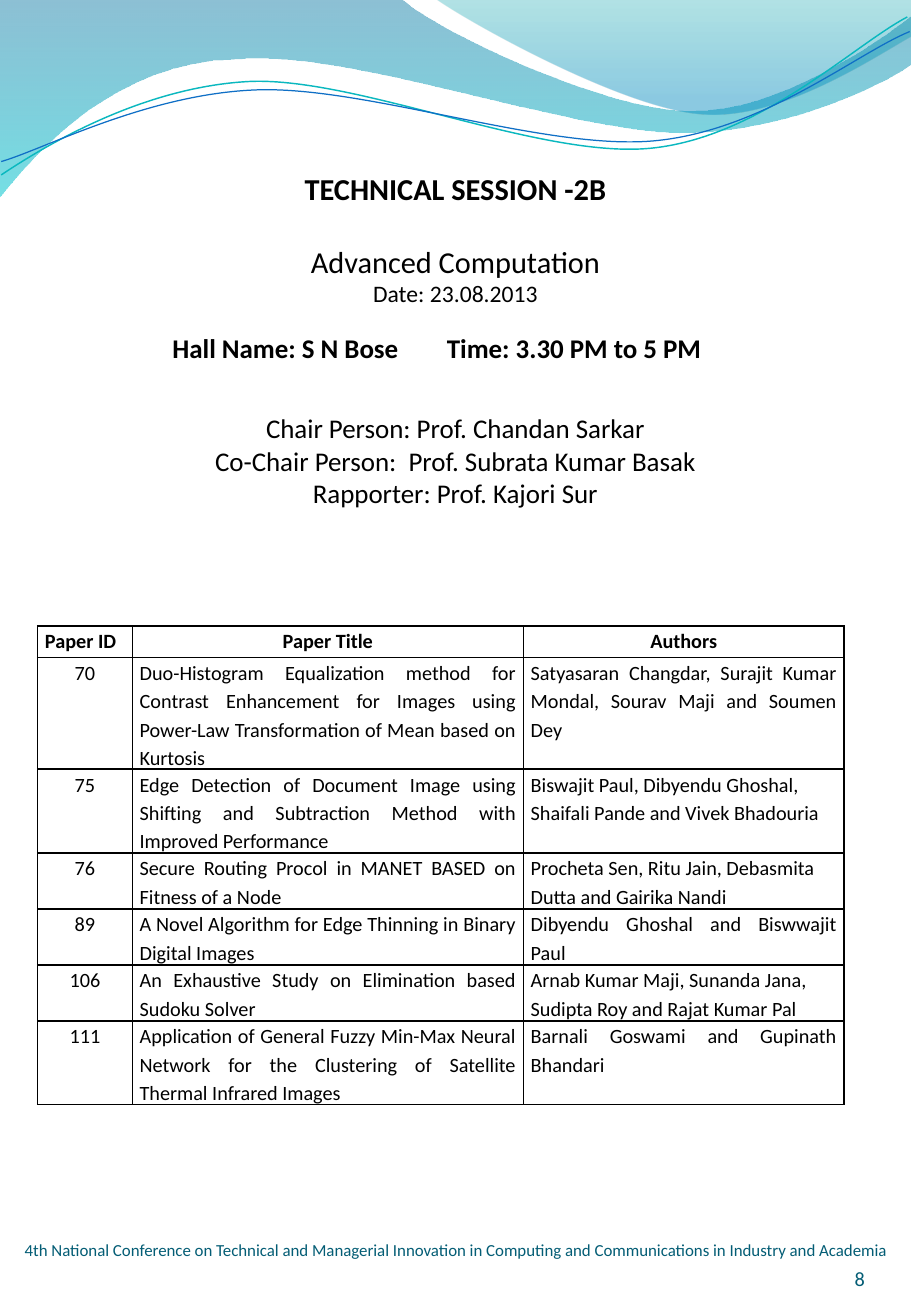
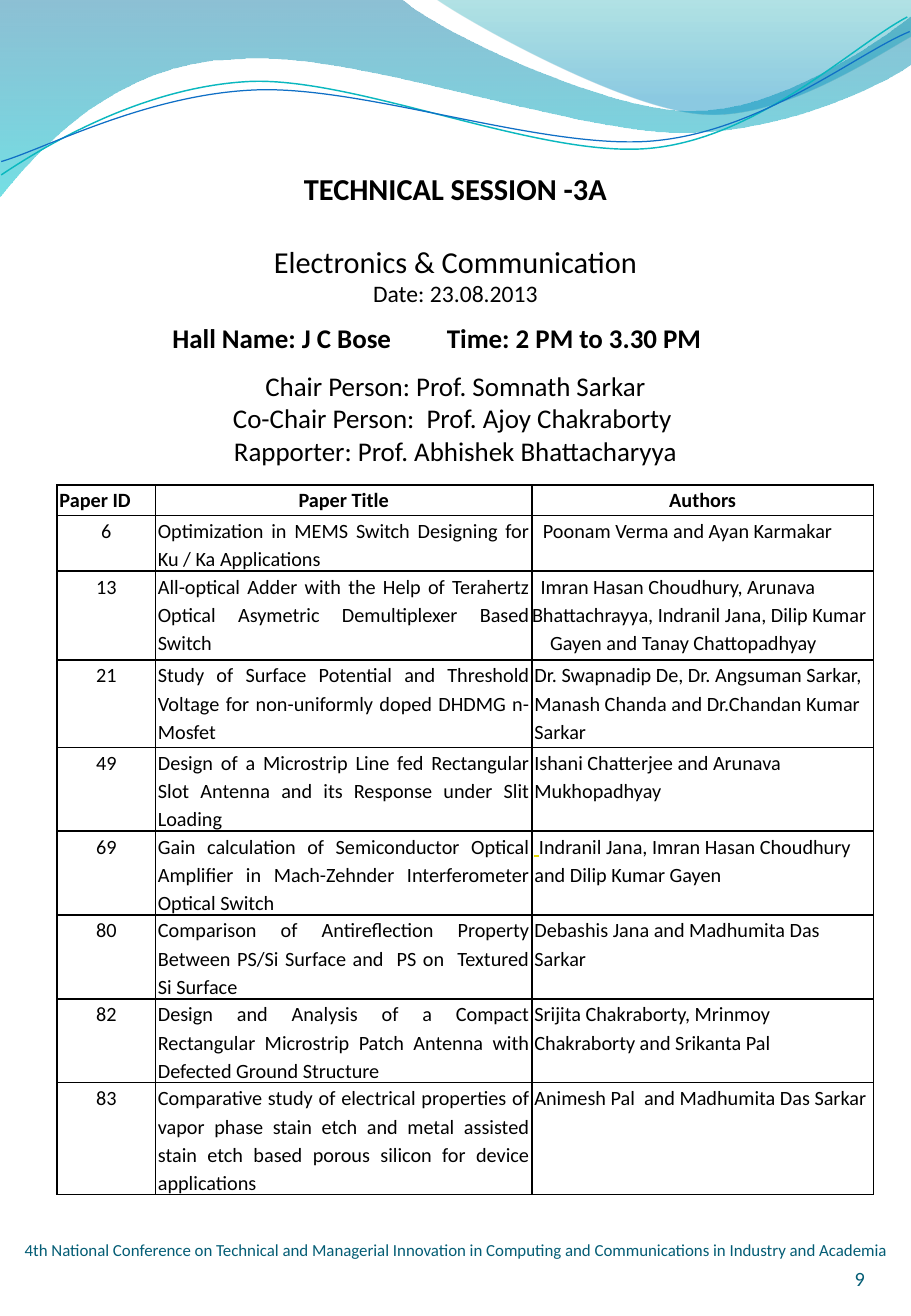
from lxml import etree
from pptx import Presentation
from pptx.dml.color import RGBColor
from pptx.enum.text import MSO_ANCHOR, MSO_AUTO_SIZE, PP_ALIGN
from pptx.oxml.ns import qn
from pptx.util import Inches, Pt

TOP, BOTTOM = MSO_ANCHOR.TOP, MSO_ANCHOR.BOTTOM
NO_FIT = MSO_AUTO_SIZE.NONE
LEFT, CENTER, RIGHT, JUSTIFY = PP_ALIGN.LEFT, PP_ALIGN.CENTER, PP_ALIGN.RIGHT, PP_ALIGN.JUSTIFY

FONT = "Calibri"
WIDTH, HEIGHT = 7.5, 10.83
COLORS = {
    "text": "000000", "footer": "045D75", "mark": "E2D700",
    "wave_top": "0074A1", "wave_end": "00C6CF",
    "crest_top": "00A1A9", "crest_end": "008BBF",
    "teal_line": "0AB8BF", "blue_line": "0F6FC6",
}
FOOTER = ("4th National Conference on Technical and Managerial Innovation in "
          "Computing and Communications in Industry and Academia")
HEADER = ("Paper ID", "Paper Title", "Authors")

# Outlines: two numbers are a straight segment, six a cubic curve
WAVE = [(0, -0.01), (3.3, -0.01), (3.57, 0.24, 4.98, 0.91, 5.69, 0.91),
        (6.4, 0.91, 7.19, 0.37, 7.5, 0.13), (7.51, 0.52),
        (7.38, 0.63, 6.52, 1.09, 5.59, 1.09), (4.66, 1.08, 2.86, 0.4, 1.93, 0.49),
        (0.97, 0.51, 0.34, 1.2, -0.01, 1.63)]
CREST = [(3.59, -0.01), (3.82, 0.16, 5.11, 0.89, 5.77, 0.94),
         (6.42, 1, 7.21, 0.46, 7.5, 0.3), (7.5, 0)]
TEAL_LINE = [(0.01, 1.44), (0.37, 1.2, 1.18, 0.71, 2.07, 0.67),
             (2.96, 0.64, 4.46, 1.31, 5.36, 1.22), (6.26, 1.13, 7.03, 0.37, 7.47, 0.14)]
BLUE_LINE = [(0.01, 1.33), (0.36, 1.23, 1.22, 0.77, 2.12, 0.74),
             (3.02, 0.71, 4.49, 1.24, 5.38, 1.16), (6.28, 1.08, 7.05, 0.44, 7.49, 0.26)]

SESSIONS = [
    {
        "page": "8",
        "title": ("TECHNICAL SESSION -2B", "Advanced Computation", "Date: 23.08.2013"),
        "hall": "Hall Name: S N Bose\tTime: 3.30 PM to 5 PM", "hall_top": 2.68,
        "chairs": ("Chair Person: Prof. Chandan Sarkar",
                   "Co-Chair Person:  Prof. Subrata Kumar Basak",
                   "Rapporter: Prof. Kajori Sur"), "chairs_top": 3.34,
        "at": (0.31, 5.15), "cols": (0.78, 3.22, 2.64), "pad": 0.06,
        "heights": (0.26, 0.92, 0.69, 0.46, 0.46, 0.46, 0.69),
        "justified": ("70", "89", "111"), "indents": {},
        "papers": [
            ("70", "Duo-Histogram Equalization method for Contrast Enhancement for Images "
                   "using Power-Law Transformation of Mean based on Kurtosis",
             "Satyasaran Changdar, Surajit Kumar Mondal, Sourav Maji and Soumen Dey"),
            ("75", "Edge Detection of Document Image using Shifting and Subtraction Method "
                   "with Improved Performance",
             "Biswajit Paul, Dibyendu Ghoshal, Shaifali Pande and Vivek Bhadouria"),
            ("76", "Secure Routing Procol in MANET BASED on Fitness of a Node",
             "Procheta Sen, Ritu Jain, Debasmita Dutta and Gairika Nandi"),
            ("89", "A Novel Algorithm for Edge Thinning in Binary Digital Images",
             "Dibyendu Ghoshal and Biswwajit Paul"),
            ("106", "An Exhaustive Study on Elimination based Sudoku Solver",
             "Arnab Kumar Maji, Sunanda Jana, Sudipta Roy and Rajat Kumar Pal"),
            ("111", "Application of General Fuzzy Min-Max Neural Network for the Clustering "
                    "of Satellite Thermal Infrared Images",
             "Barnali Goswami and Gupinath Bhandari"),
        ],
    },
    {
        "page": "9",
        "title": ("TECHNICAL SESSION -3A", "Electronics & Communication", "Date: 23.08.2013"),
        "hall": "Hall Name: J C Bose\tTime: 2 PM to 3.30 PM", "hall_top": 2.6,
        "chairs": ("Chair Person: Prof. Somnath Sarkar",
                   "Co-Chair Person:  Prof. Ajoy Chakraborty ",
                   "Rapporter: Prof. Abhishek Bhattacharyya"), "chairs_top": 2.99,
        "at": (0.47, 3.99), "cols": (0.81, 3.1, 2.81), "pad": 0.02,
        "heights": (0.25, 0.46, 0.73, 0.72, 0.69, 0.69, 0.69, 0.69, 0.92),
        "justified": (), "indents": {"6": (0.07,), "13": (0.07, 0, 0.15)},
        "papers": [
            ("6", "Optimization in MEMS Switch Designing for Ku / Ka Applications",
             "Poonam Verma and Ayan Karmakar"),
            ("13", "All-optical Adder with the Help of Terahertz Optical Asymetric "
                   "Demultiplexer Based Switch",
             "Imran Hasan Choudhury, Arunava\nBhattachrayya, Indranil Jana, Dilip Kumar\n"
             "Gayen and Tanay Chattopadhyay"),
            ("21", "Study of Surface Potential and Threshold Voltage for non-uniformly doped "
                   "DHDMG n-Mosfet",
             "Dr. Swapnadip De, Dr. Angsuman Sarkar, Manash Chanda and Dr.Chandan Kumar Sarkar"),
            ("49", "Design of a Microstrip Line fed Rectangular Slot Antenna and its Response "
                   "under Slit Loading",
             "Ishani Chatterjee and Arunava Mukhopadhyay"),
            ("69", "Gain calculation of Semiconductor Optical Amplifier in Mach-Zehnder "
                   "Interferometer Optical Switch",
             " Indranil Jana, Imran Hasan Choudhury and Dilip Kumar Gayen"),
            ("80", "Comparison of Antireflection Property Between PS/Si Surface and  PS on  "
                   "Textured Si Surface",
             "Debashis Jana and Madhumita Das Sarkar"),
            ("82", "Design and Analysis of a Compact Rectangular Microstrip Patch Antenna with "
                   "Defected Ground Structure",
             "Srijita Chakraborty, Mrinmoy Chakraborty and Srikanta Pal"),
            ("83", "Comparative study of electrical properties of vapor phase stain etch and "
                   "metal assisted stain etch based porous silicon for device applications",
             "Animesh Pal  and Madhumita Das Sarkar"),
        ],
    },
]


def rgb(name):
    return RGBColor.from_string(COLORS[name])


def style(p, size, align=CENTER, bold=False, color="text"):
    p.alignment = align
    f = p.font
    f.name, f.size, f.bold = FONT, Pt(size), bold
    f.color.rgb = rgb(color)


# Wave decoration
def add_outline(s, outline, close):
    """Draw through all points, then turn each curve's three lines into one Bézier."""
    points = [(Inches(seg[i]), Inches(seg[i + 1]))
              for seg in outline for i in range(0, len(seg), 2)]
    builder = s.shapes.build_freeform(*points[0])
    builder.add_line_segments(points[1:], close=close)
    sp = builder.convert_to_shape()
    sp.shadow.inherit = False
    lines = iter(list(sp.element.iter(qn("a:lnTo"))))
    for seg in outline[1:]:
        first = next(lines)
        if len(seg) == 6:
            first.tag = qn("a:cubicBezTo")
            for _ in range(2):
                line = next(lines)
                first.append(line[0])
                line.getparent().remove(line)
    return sp


def add_wave(s, outline, stops):
    sp = add_outline(s, outline, True)
    sp.line.fill.background()
    sp.fill.gradient()
    sp.fill.gradient_angle = 270
    for stop, (position, color, _) in zip(sp.fill.gradient_stops, stops):
        stop.position = position
        stop.color.rgb = rgb(color)
    for clr, (_, _, opacity) in zip(sp.element.iter(qn("a:srgbClr")), stops):
        etree.SubElement(clr, qn("a:alpha")).set("val", str(opacity * 1000))
    return sp


def add_wave_line(s, outline, color, width):
    sp = add_outline(s, outline, False)
    sp.fill.background()
    sp.line.color.rgb = rgb(color)
    sp.line.width = Pt(width)
    return sp


def decorate_layout(layout, s):
    """Build the waves with the slide's shape tools and hand them to its layout."""
    waves = [
        add_wave(s, WAVE, [(0, "wave_top", 45), (1, "wave_end", 55)]),
        add_wave(s, CREST, [(0, "crest_top", 30), (0.8, "crest_end", 45)]),
        add_wave_line(s, TEAL_LINE, "teal_line", 0.85),
        add_wave_line(s, BLUE_LINE, "blue_line", 0.75),
    ]
    for i, sp in enumerate(waves):
        layout.shapes.element.insert(2 + i, sp.element)


# Text
def add_text(s, box, lines, size, align=CENTER, bold=False, color="text",
             anchor=TOP, inset=None):
    tf = s.shapes.add_textbox(*map(Inches, box)).text_frame
    tf.word_wrap = True
    tf.vertical_anchor = anchor
    if inset is not None:
        tf.margin_left = tf.margin_right = tf.margin_top = tf.margin_bottom = Inches(inset)
    tf.text = "\n".join(lines)
    for p in tf.paragraphs:
        style(p, size, align, bold, color)
    return tf


def set_title(s, lines):
    title = s.shapes.title
    title.left, title.top, title.width, title.height = map(Inches, (0, 1.35, WIDTH, 1.25))
    tf = title.text_frame
    tf.text = "\n".join(lines)
    tf.auto_size = NO_FIT
    tf.vertical_anchor = TOP
    for p, size, bold in zip(tf.paragraphs, (18, 18, 14), (True, False, False)):
        style(p, size, bold=bold)
    tf.paragraphs[1].space_before = Pt(21.5)


def add_hall(s, top, text):
    tf = add_text(s, (0, top, WIDTH, 0.37), [text], 16, LEFT, True)
    tf.margin_left = Inches(1.42)
    tabs = etree.Element(qn("a:tabLst"))
    etree.SubElement(tabs, qn("a:tab"), pos=str(Inches(2.26)), algn="l")
    pPr = tf.paragraphs[0]._p.get_or_add_pPr()
    pPr.find(qn("a:defRPr")).addprevious(tabs)


def add_footer(s, page):
    add_text(s, (0, 9.79, WIDTH, 0.58), [FOOTER], 10, color="footer", anchor=BOTTOM, inset=0)
    add_text(s, (6.5, 10.04, 0.62, 0.58), [page], 12, RIGHT, color="footer",
             anchor=BOTTOM, inset=0)


# Table
def add_borders(cell):
    tcPr = cell._tc.get_or_add_tcPr()
    for side in ("lnL", "lnR", "lnT", "lnB"):
        ln = etree.SubElement(tcPr, qn("a:" + side), w=str(Pt(1)))
        fill = etree.SubElement(ln, qn("a:solidFill"))
        etree.SubElement(fill, qn("a:srgbClr"), val=COLORS["text"])


def fill_cell(cell, text, align, bold, pad, indents=()):
    add_borders(cell)
    cell.fill.background()
    cell.margin_left = cell.margin_right = Inches(pad)
    cell.margin_top = cell.margin_bottom = 0
    tf = cell.text_frame
    tf.text = text.lstrip()
    for p in tf.paragraphs:
        style(p, 12, align, bold)
        p.line_spacing = 1.15
    for p, indent in zip(tf.paragraphs, indents):
        p._p.get_or_add_pPr().set("indent", str(Inches(indent)))
    if text.startswith(" "):  # underlined leading space
        p = tf.paragraphs[0]
        r = p.add_run()
        r.text = " "
        r.font.underline = True
        r.font.color.rgb = rgb("mark")
        p.runs[0]._r.addprevious(r._r)


def add_papers(s, session):
    rows = [HEADER] + session["papers"]
    cols, heights = session["cols"], session["heights"]
    box = (*session["at"], sum(cols), sum(heights))
    table = s.shapes.add_table(len(rows), len(cols), *map(Inches, box)).table
    table.first_row = table.horz_banding = False
    for col, width in zip(table.columns, cols):
        col.width = Inches(width)
    for i, (row, height) in enumerate(zip(rows, heights)):
        table.rows[i].height = Inches(height)
        authors = JUSTIFY if row[0] in session["justified"] else LEFT
        aligns = (CENTER, JUSTIFY, authors) if i else (JUSTIFY, CENTER, CENTER)
        for j, (text, align) in enumerate(zip(row, aligns)):
            indents = session["indents"].get(row[0], ()) if j == 2 else ()
            pad = 0 if "\n" in text else session["pad"]
            fill_cell(table.cell(i, j), text, align, i == 0, pad, indents)


def main():
    prs = Presentation()
    prs.slide_width, prs.slide_height = Inches(WIDTH), Inches(HEIGHT)
    layout = prs.slide_layouts[5]
    for i, session in enumerate(SESSIONS):
        s = prs.slides.add_slide(layout)
        if i == 0:
            decorate_layout(layout, s)
        add_footer(s, session["page"])
        set_title(s, session["title"])
        add_hall(s, session["hall_top"], session["hall"])
        add_text(s, (0, session["chairs_top"], WIDTH, 0.91), session["chairs"], 16)
        add_papers(s, session)
    prs.save("out.pptx")


if __name__ == "__main__":
    main()
